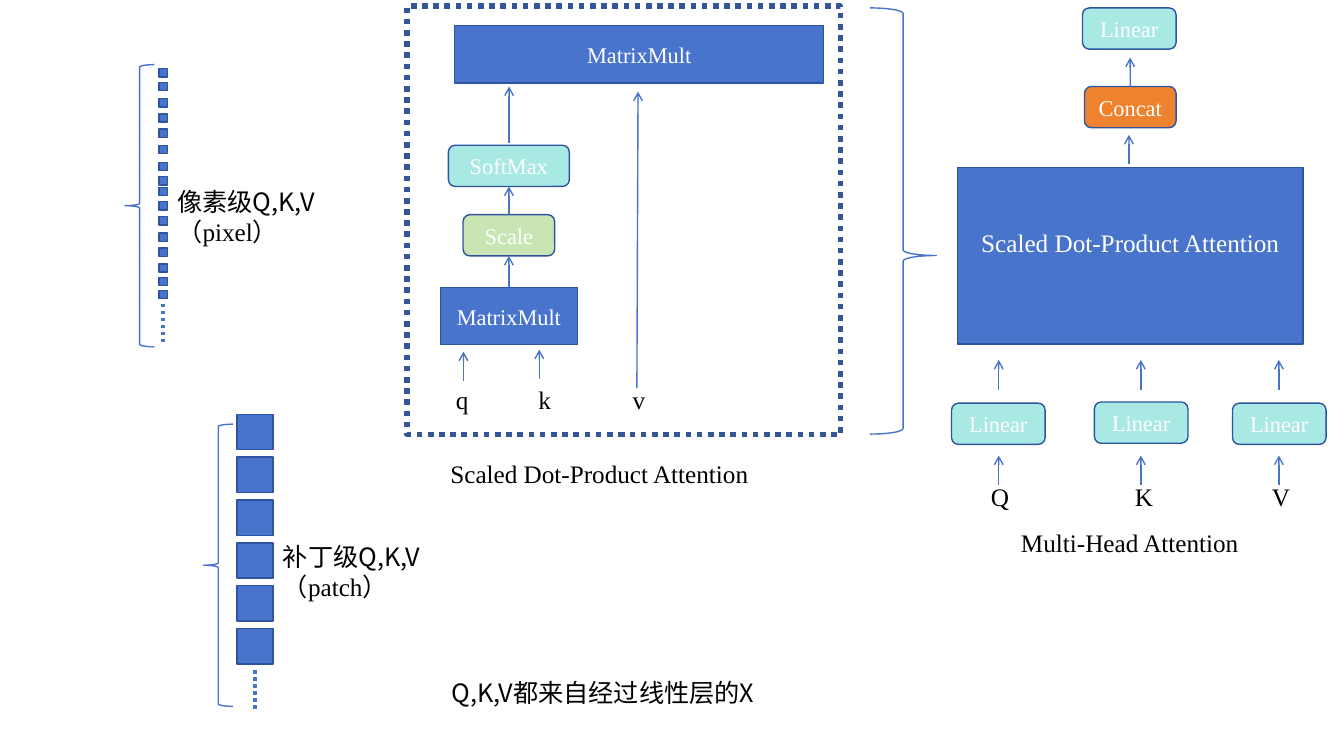
from lxml import etree
from pptx import Presentation
from pptx.dml.color import RGBColor
from pptx.enum import dml, shapes, text
from pptx.oxml import ns
from pptx.util import Cm, Pt

BLUE = RGBColor(0x48, 0x74, 0xCB)
OUTLINE = RGBColor(0x2E, 0x54, 0xA1)
FRAME = RGBColor(0x35, 0x56, 0x96)
TEAL = RGBColor(0xA9, 0xE9, 0xE4)
GREEN = RGBColor(0xC8, 0xE5, 0xB3)
ORANGE = RGBColor(0xEE, 0x82, 0x2F)
WHITE = RGBColor(0xFF, 0xFF, 0xFF)
BLACK = RGBColor(0, 0, 0)
SERIF, HAN, SANS = "Times New Roman", "Noto Sans CJK SC", "Arial"
RECT = shapes.MSO_SHAPE.RECTANGLE
ROUND = shapes.MSO_SHAPE.ROUNDED_RECTANGLE
LEFT_BRACE = shapes.MSO_SHAPE.LEFT_BRACE
RIGHT_BRACE = shapes.MSO_SHAPE.RIGHT_BRACE

presentation = Presentation()
presentation.slide_width = Cm(33.87)
presentation.slide_height = Cm(19.05)
slide = presentation.slides.add_slide(presentation.slide_layouts[6])


def add_block(kind, left, top, width, height, fill=None, label="", size=16, line=OUTLINE):
    shape = slide.shapes.add_shape(kind, Cm(left), Cm(top), Cm(width), Cm(height))
    shape.shadow.inherit = False
    shape.line.color.rgb = line
    shape.line.width = Pt(1)
    if fill is None:
        shape.fill.background()
    else:
        shape.fill.solid()
        shape.fill.fore_color.rgb = fill
    if label:
        frame = shape.text_frame
        frame.word_wrap = True
        frame.vertical_anchor = text.MSO_ANCHOR.MIDDLE
        paragraph = frame.paragraphs[0]
        paragraph.text = label
        paragraph.alignment = text.PP_ALIGN.CENTER
        paragraph.font.size = Pt(size)
        paragraph.font.name = SERIF
        paragraph.font.color.rgb = WHITE
    return shape


def add_line(x1, y1, x2, y2, dotted=False):
    line = slide.shapes.add_connector(
        shapes.MSO_CONNECTOR.STRAIGHT, Cm(x1), Cm(y1), Cm(x2), Cm(y2))
    line.line.color.rgb = BLUE
    line.line.width = Pt(2.5 if dotted else 1)
    if dotted:
        line.line.dash_style = dml.MSO_LINE.ROUND_DOT
    else:
        etree.SubElement(line.line._get_or_add_ln(), ns.qn("a:tailEnd"), type="arrow")
    etree.SubElement(line._element.spPr, ns.qn("a:effectLst"))
    return line


# Pixel-level column
add_block(LEFT_BRACE, 3.15, 1.63, 0.74, 7.11, line=BLUE)
for top in (1.73, 2.08, 2.49, 2.87, 3.25, 3.66, 4.09, 4.45,
            4.72, 5.08, 5.46, 5.87, 6.25, 6.65, 6.99, 7.32):
    add_block(RECT, 4.01, top, 0.21, 0.21, BLUE)
add_line(4.11, 7.65, 4.11, 8.69, dotted=True)

# Patch-level column
add_block(LEFT_BRACE, 5.13, 10.69, 0.74, 7.11, line=BLUE)
for row in range(6):
    add_block(RECT, 5.97, 10.44 + 1.08 * row, 0.91, 0.89, BLUE)
add_line(6.43, 16.89, 6.43, 17.93, dotted=True)

# Scaled dot-product attention in detail
detail_frame = add_block(RECT, 10.26, 0.15, 10.92, 10.8, line=FRAME)
detail_frame.line.width = Pt(4)
detail_frame.line.dash_style = dml.MSO_LINE.ROUND_DOT
query_key_product = add_block(RECT, 11.1, 7.24, 3.45, 1.45, BLUE, "MatrixMult")
scale = add_block(ROUND, 11.67, 5.41, 2.31, 1.04, GREEN, "Scale")
softmax = add_block(ROUND, 11.3, 3.66, 3.05, 1.04, TEAL, "SoftMax")
add_block(RECT, 11.46, 0.64, 9.3, 1.45, BLUE, "MatrixMult")
for lower, upper in ((query_key_product, scale), (scale, softmax)):
    arrow = add_line(12.83, 7, 12.83, 6)
    arrow.begin_connect(lower, 0)
    arrow.end_connect(upper, 2)
add_line(12.83, 3.61, 12.83, 2.18)
add_line(11.68, 9.6, 11.68, 8.86)
add_line(13.59, 9.55, 13.59, 8.81)
add_line(16.05, 9.78, 16.08, 2.31)

# Multi-head attention
brace = add_block(RIGHT_BRACE, 21.92, 0.2, 1.68, 10.74, line=BLUE)
brace.adjustments[0] = 0.083
brace.adjustments[1] = 0.581
attention = add_block(RECT, 24.13, 4.22, 8.71, 4.45, BLUE,
                      "Scaled Dot-Product Attention", 18)
attention.text_frame.margin_bottom = Cm(0.8)
concat = add_block(ROUND, 27.33, 2.18, 2.31, 1.04, ORANGE, "Concat")
add_block(ROUND, 27.28, 0.2, 2.36, 1.04, TEAL, "Linear")
add_line(28.45, 4.14, 28.45, 3.4)
add_line(28.48, 2.18, 28.48, 1.45).begin_connect(concat, 0)
for left, top, arrow_x in ((23.98, 10.16, 25.17), (27.58, 10.13, 28.75), (31.06, 10.16, 32.23)):
    add_block(ROUND, left, top, 2.36, 1.04, TEAL, "Linear")
    add_line(arrow_x, 12.22, arrow_x, 11.48)
    add_line(arrow_x, 9.83, arrow_x, 9.07)

# Captions and input letters: left, top, width, lines of (wording, font)
captions = [
    (4.22, 4.57, 6.35, [[("像素级Q,K,V", HAN)],
                        [("（", SANS), ("pixel", SERIF), ("）", SANS)]]),
    (6.88, 13.51, 6.73, [[("补丁级Q,K,V", HAN)],
                         [("（", SANS), ("patch", SERIF), ("）", SANS)]]),
    (11.1, 11.43, 8.3, [[("Scaled Dot-Product Attention", SERIF)]]),
    (25.48, 13.16, 6.5, [[("Multi-Head Attention", SERIF)]]),
    (11.13, 16.94, 11.28, [[("Q,K,V都来自经过线性层的X", HAN)]]),
]
for letter, center, top in (("q", 11.65, 9.55), ("k", 13.73, 9.55), ("v", 16.1, 9.55),
                            ("Q", 25.2, 12.01), ("K", 28.83, 12.01), ("V", 32.28, 12.01)):
    captions.append((center - 0.75, top, 1.5, [[(letter, SERIF)]]))

for left, top, width, lines in captions:
    box = slide.shapes.add_textbox(Cm(left), Cm(top), Cm(width), Cm(1.02))
    box.text_frame.word_wrap = True
    paragraph = box.text_frame.paragraphs[0]
    if width == 1.5:
        paragraph.alignment = text.PP_ALIGN.CENTER
    paragraph.font.size = Pt(18)
    paragraph.font.color.rgb = BLACK
    for number, line in enumerate(lines):
        if number:
            paragraph.add_line_break()
        for wording, font_name in line:
            run = paragraph.add_run()
            run.text = wording
            run.font.name = font_name
            etree.SubElement(run._r.get_or_add_rPr(), ns.qn("a:ea"), typeface=HAN)

presentation.save("out.pptx")
